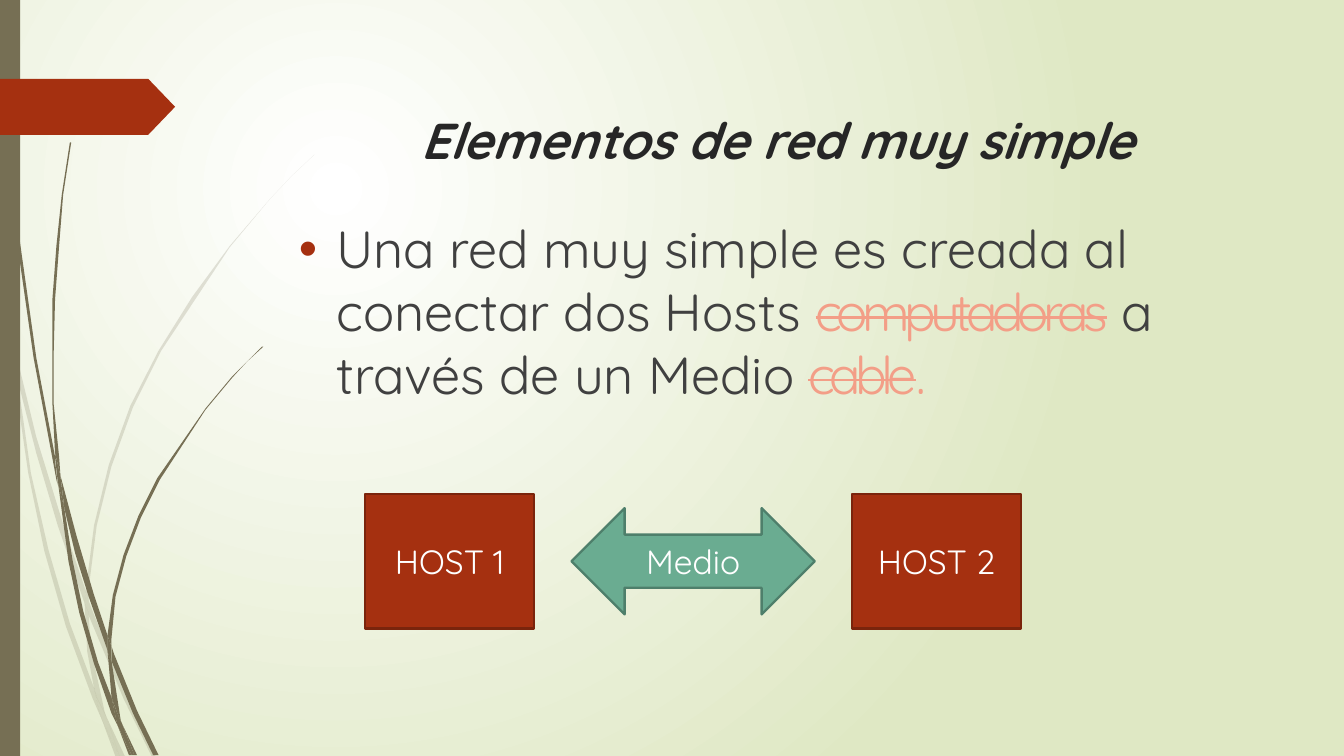
from dataclasses import dataclass

from lxml.etree import SubElement as Sub
from pptx import Presentation
from pptx.dml.color import RGBColor as Rgb
from pptx.enum.shapes import MSO_SHAPE as Kind
from pptx.enum.text import MSO_ANCHOR as Anchor, PP_ALIGN as Align
from pptx.oxml.ns import qn
from pptx.util import Cm, Pt


@dataclass(frozen=True)
class Theme:
    """Colours, type sizes and font of the deck."""
    font: str = "Quicksand"
    head: int = 27
    body: int = 28
    label: int = 18
    white: str = "FFFFFF"
    leaf: str = "DFE8C4"
    earth: str = "766F54"
    rust: str = "A53010"
    rim: str = "7A240C"
    mint: str = "6AAC91"
    pine: str = "4E7F6B"
    ink: str = "262626"
    gray: str = "404040"
    pale: str = "F39E87"


@dataclass(frozen=True)
class Box:
    """A region of the slide in centimetres."""
    x: float
    y: float
    w: float
    h: float

    def place(self):
        """Return the four lengths of the box."""
        return Cm(self.x), Cm(self.y), Cm(self.w), Cm(self.h)


T = Theme()
PAGE = Box(0, 0, 25.4, 14.29)
UNIT = 0.0254
HAZE = [
    [(8, 263), (6, 241), (0, 211), (0, 224), (8, 258)],
    [(43, 391), (63, 449), (64, 440), (47, 390), (27, 325), (11, 259),
     (13, 282), (27, 337)],
    [(69, 455), (66, 447), (66, 458), (92, 520), (113, 563), (116, 563),
     (95, 519)],
    [(89, 563), (93, 563), (79, 533)],
    [(70, 512), (52, 464), (36, 409), (23, 352), (13, 282), (8, 263),
     (21, 352), (33, 410), (49, 466), (69, 520), (76, 536), (74, 530)],
    [(63, 449), (65, 485), (70, 512), (72, 519), (79, 533), (78, 530),
     (68, 484), (66, 458), (66, 456)],
    [(66, 438), (72, 391), (83, 347), (99, 303), (120, 261), (171, 184),
     (201, 148), (217, 131), (234, 115), (217, 131), (201, 148), (171, 183),
     (143, 221), (118, 261), (97, 302), (81, 346), (70, 391), (64, 438),
     (64, 440), (66, 447)],
    [(76, 536), (86, 563), (89, 563)],
    [(66, 456), (66, 458), (66, 447), (64, 440), (63, 449)],
    [(72, 519), (70, 512), (74, 530), (76, 536), (89, 563), (79, 533)],
]
GRASS = [
    [(5, 82), (12, 175), (25, 266), (42, 357), (43, 361), (41, 343),
     (41, 340), (27, 266), (14, 174), (6, 82), (3, 36), (3, 0), (2, 0), (3, 36)],
    [(66, 444), (80, 484), (80, 475), (80, 473), (70, 443), (57, 399),
     (45, 354), (48, 379), (56, 412)],
    [(85, 487), (83, 481), (83, 492), (99, 531), (114, 562), (118, 562),
     (102, 529)],
    [(83, 519), (73, 493), (62, 455), (54, 417), (48, 379), (43, 358),
     (51, 418), (59, 456), (70, 494), (83, 531), (88, 541), (87, 538)],
    [(45, 354), (44, 340), (40, 301), (40, 262), (41, 223), (44, 183),
     (47, 145), (53, 106), (52, 106), (46, 145), (42, 183), (39, 223),
     (39, 262), (39, 300), (41, 337)],
    [(100, 562), (102, 562), (91, 539)],
    [(43, 358), (48, 379), (45, 354), (41, 337), (41, 340)],
    [(83, 475), (86, 444), (94, 414), (105, 385), (119, 357), (153, 305),
     (173, 281), (184, 269), (196, 258), (195, 258), (184, 269), (173, 280),
     (153, 304), (117, 356), (103, 384), (92, 413), (84, 443), (80, 473),
     (83, 481)],
    [(88, 541), (96, 562), (98, 562)],
    [(80, 484), (83, 519), (87, 530), (91, 539), (90, 537), (83, 492), (81, 488)],
    [(80, 484), (81, 488), (83, 492), (83, 481), (80, 473), (80, 475)],
    [(87, 530), (83, 519), (87, 538), (88, 541), (98, 562), (100, 562), (91, 539)],
]


def write(para, text, size, color, bold=False, slant=False, struck=False, gap=0):
    """Add one formatted run to a paragraph."""
    run = para.add_run()
    run.text = text
    font = run.font
    font.name, font.size = T.font, Pt(size)
    font.bold, font.italic = bold, slant
    font.color.rgb = Rgb.from_string(color)
    props = run._r.get_or_add_rPr()
    if struck:
        props.set("strike", "sngStrike")
    if gap:
        props.set("spc", str(gap * 100))


def paint(shape, fill, line=None):
    """Give a shape a flat fill and an optional outline."""
    shape.shadow.inherit = False
    shape.fill.solid()
    shape.fill.fore_color.rgb = Rgb.from_string(fill)
    if line:
        shape.line.color.rgb = Rgb.from_string(line)
        shape.line.width = Pt(1.25)
    else:
        shape.line.fill.background()
    return shape


def blade(slide, box, knots, alpha):
    """Draw one piece of grass from its corner points."""
    spots = [(Cm(box.x + x * UNIT), Cm(box.y + y * UNIT)) for x, y in knots]
    pen = slide.shapes.build_freeform(*spots[0])
    pen.add_line_segments(spots[1:], close=True)
    shape = paint(pen.convert_to_shape(), T.earth)
    if alpha < 100:
        tint = shape._element.spPr.find(qn("a:solidFill"))[0]
        Sub(tint, qn("a:alpha"), val=str(alpha * 1000))


def decor(slide, box):
    """Draw the backdrop, grass, side bar and tag."""
    fill = slide.background.fill
    fill.gradient()
    for stop, color in zip(fill.gradient_stops, (T.white, T.leaf)):
        stop.color.rgb = Rgb.from_string(color)
    grad = slide.element.find(".//" + qn("a:gradFill"))
    grad.remove(grad.find(qn("a:lin")))
    ring = Sub(grad, qn("a:path"), path="circle")
    Sub(ring, qn("a:fillToRect"), l="50000", t="50000", r="100000", b="100000")
    for group, alpha in ((HAZE, 20), (GRASS, 100)):
        for knots in group:
            blade(slide, box, knots, alpha)
    bar = Box(box.x, box.y, 0.38, box.h)
    tag = Box(box.x, box.y + 1.49, 3.31, 1.06)
    paint(slide.shapes.add_shape(Kind.RECTANGLE, *bar.place()), T.earth)
    flag = paint(slide.shapes.add_shape(Kind.PENTAGON, *tag.place()), T.rust)
    flag.adjustments[0] = 0.48


def heading(slide, box):
    """Fill the title placeholder."""
    title = slide.shapes.title
    title.left, title.top, title.width, title.height = box.place()
    frame = title.text_frame
    frame.vertical_anchor = Anchor.MIDDLE
    para = frame.paragraphs[0]
    para.alignment = Align.CENTER
    write(para, "Elementos de red muy simple", T.head, T.ink, bold=True, slant=True)


def story(slide, box):
    """Write the bulleted paragraph."""
    frame = slide.shapes.add_textbox(*box.place()).text_frame
    frame.word_wrap = True
    para = frame.paragraphs[0]
    para.space_before = Pt(7.5)
    props = para._p.get_or_add_pPr()
    props.set("marL", str(Cm(0.71)))
    props.set("indent", str(-Cm(0.71)))
    Sub(Sub(props, qn("a:buClr")), qn("a:srgbClr"), val=T.rust)
    Sub(props, qn("a:buFont"), typeface="Arial")
    Sub(props, qn("a:buChar"), char="•")
    write(para, "Una red muy simple es creada al conectar dos Hosts ", T.body, T.gray)
    write(para, "computadoras", T.body, T.pale, struck=True, gap=-3)
    write(para, " a través de un Medio ", T.body, T.gray)
    write(para, "cable", T.body, T.pale, struck=True, gap=-3)
    write(para, ".", T.body, T.pale)


def node(slide, box, kind, text, fill, line):
    """Draw one labelled part of the network."""
    shape = paint(slide.shapes.add_shape(kind, *box.place()), fill, line)
    frame = shape.text_frame
    frame.vertical_anchor = Anchor.MIDDLE
    para = frame.paragraphs[0]
    para.alignment = Align.CENTER
    write(para, text, T.label, T.white)


def network(slide, box):
    """Draw two hosts and the medium between them."""
    side, span, tall = 3.2, 4.6, 2.01
    for text, x in (("HOST 1", box.x), ("HOST 2", box.x + box.w - side)):
        node(slide, Box(x, box.y, side, box.h), Kind.RECTANGLE, text, T.rust, T.rim)
    link = Box(box.x + (box.w - span) / 2, box.y + (box.h - tall) / 2, span, tall)
    node(slide, link, Kind.LEFT_RIGHT_ARROW, "Medio", T.mint, T.pine)


def main():
    """Build and save the deck."""
    deck = Presentation()
    deck.slide_width, deck.slide_height = Cm(PAGE.w), Cm(PAGE.h)
    slide = deck.slides.add_slide(deck.slide_layouts[5])
    decor(slide, PAGE)
    heading(slide, Box(5.4, 1.3, 18.57, 2.67))
    story(slide, Box(5.4, 3.97, 18.57, 8.36))
    network(slide, Box(6.9, 9.34, 12.4, 2.54))
    deck.save("out.pptx")


if __name__ == "__main__":
    main()
